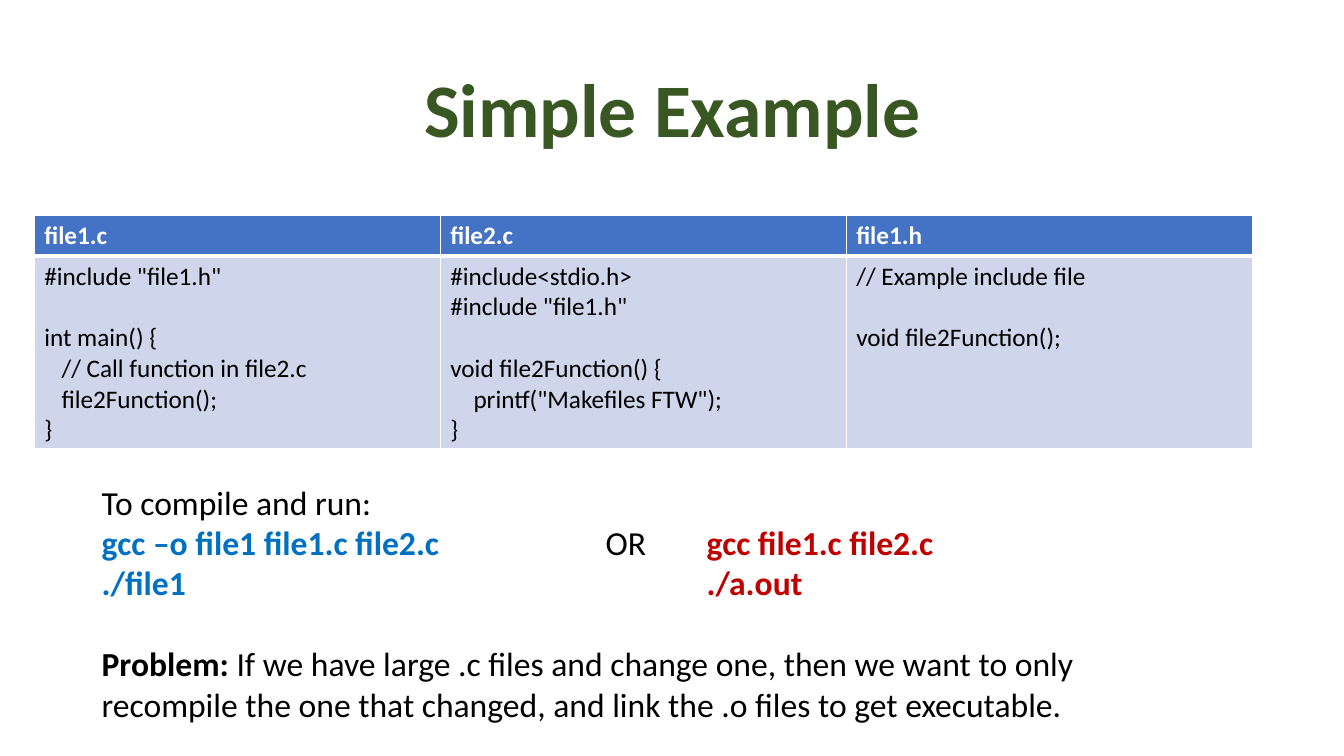
import pptx
import pptx.dml.color
import pptx.enum.text
import pptx.oxml
import pptx.oxml.ns
import pptx.util
import lxml.etree

Inches, Pt = pptx.util.Inches, pptx.util.Pt
qn = pptx.oxml.ns.qn

THEME = {
    "font": "Calibri",
    "colors": {"title": "385723", "header": "4472C4", "body": "CFD5EA", "white": "FFFFFF",
               "black": "000000", "blue": "0070C0", "red": "C00000"},
    "sizes": {"title": 54, "code": 18, "notes": 24},
}


def color(key):
    return pptx.dml.color.RGBColor.from_string(THEME["colors"][key])


def write(paragraph, text, size, ink, bold=False):
    run = paragraph.add_run()
    run.text = text
    values = {"name": THEME["font"], "size": Pt(THEME["sizes"][size]), "bold": bold}
    for attribute, value in values.items():
        setattr(run.font, attribute, value)
    run.font.color.rgb = color(ink)


presentation = pptx.Presentation()
presentation.slide_width, presentation.slide_height = Inches(13.33), Inches(7.5)
slide = presentation.slides.add_slide(presentation.slide_layouts[6])

heading = slide.shapes.add_textbox(Inches(0.92), Inches(0.4), Inches(11.5), Inches(1.45)).text_frame
heading_format = {"word_wrap": True, "vertical_anchor": pptx.enum.text.MSO_ANCHOR.MIDDLE}
for attribute, value in heading_format.items():
    setattr(heading, attribute, value)
title = heading.paragraphs[0]
title_format = {"alignment": pptx.enum.text.PP_ALIGN.CENTER, "line_spacing": 0.9}
for attribute, value in title_format.items():
    setattr(title, attribute, value)
write(title, "Simple Example", "title", "title", True)

# Each code line: text, indent in inches, gap above in points
FILES = {
    "file1.c": [('#include "file1.h"', 0, 0), ("int main() {", 0, 22),
                ("// Call function in file2.c", 0.17, 0), ("file2Function();", 0.17, 0), ("}", 0, 0)],
    "file2.c": [("#include<stdio.h>", 0, 0), ('#include "file1.h"', 0, 0),
                ("void file2Function() {", 0, 22), ('printf("Makefiles FTW");', 0.23, 0), ("}", 0, 0)],
    "file1.h": [("// Example include file", 0, 0), ("void file2Function();", 0, 22)],
}
listing = slide.shapes.add_table(2, len(FILES), Inches(0.34), Inches(2.14),
                                 Inches(12.08), Inches(2.31)).table
listing.rows[0].height, listing.rows[1].height = Inches(0.4), Inches(1.91)

for column, (filename, code) in enumerate(FILES.items()):
    header, body = listing.cell(0, column), listing.cell(1, column)
    write(header.text_frame.paragraphs[0], filename, "code", "white", True)
    for number, (text, indent, gap) in enumerate(code):
        line = body.text_frame.add_paragraph() if number else body.text_frame.paragraphs[0]
        line.space_before = Pt(gap)
        line._p.get_or_add_pPr().set("marL", str(Inches(indent)))
        write(line, text, "code", "black")
    for cell, fill, thick_side in ((header, "header", "lnB"), (body, "body", "lnT")):
        cell.fill.solid()
        cell.fill.fore_color.rgb = color(fill)
        for position, side in enumerate(("lnL", "lnR", "lnT", "lnB")):
            border = pptx.oxml.parse_xml(
                f'<a:{side} xmlns:a="{pptx.oxml.ns.nsdecls("a").split(chr(34))[1]}" '
                f'w="{Pt(3 if side == thick_side else 1)}"><a:solidFill>'
                f'<a:srgbClr val="{THEME["colors"]["white"]}"/></a:solidFill></a:{side}>')
            cell._tc.get_or_add_tcPr().insert(position, border)

# Each paragraph: gap above in points, tab stops in inches, runs
NOTES = [
    (0, [], [("To compile and run:", "black", False)]),
    (0, [5, 6], [("gcc –o file1 file1.c file2.c", "blue", True), ("\tOR\t", "black", False),
                 ("gcc file1.c file2.c", "red", True)]),
    (0, [6], [("./file1\t", "blue", True), ("./a.out", "red", True)]),
    (29, [], [("Problem:", "black", True),
              (" If we have large .c files and change one, then we want to only recompile "
               "the one that changed, and link the .o files to get executable.", "black", False)]),
]
notes = slide.shapes.add_textbox(Inches(0.91), Inches(4.73), Inches(10.94), Inches(2.52)).text_frame
notes.word_wrap = True
for number, (gap, stops, runs) in enumerate(NOTES):
    note = notes.add_paragraph() if number else notes.paragraphs[0]
    note.space_before = Pt(gap)
    if stops:
        tabs = lxml.etree.SubElement(note._p.get_or_add_pPr(), qn("a:tabLst"))
        for stop in stops:
            lxml.etree.SubElement(tabs, qn("a:tab"), pos=str(Inches(stop)), algn="l")
    for text, ink, bold in runs:
        write(note, text, "notes", ink, bold)

presentation.save("out.pptx")
